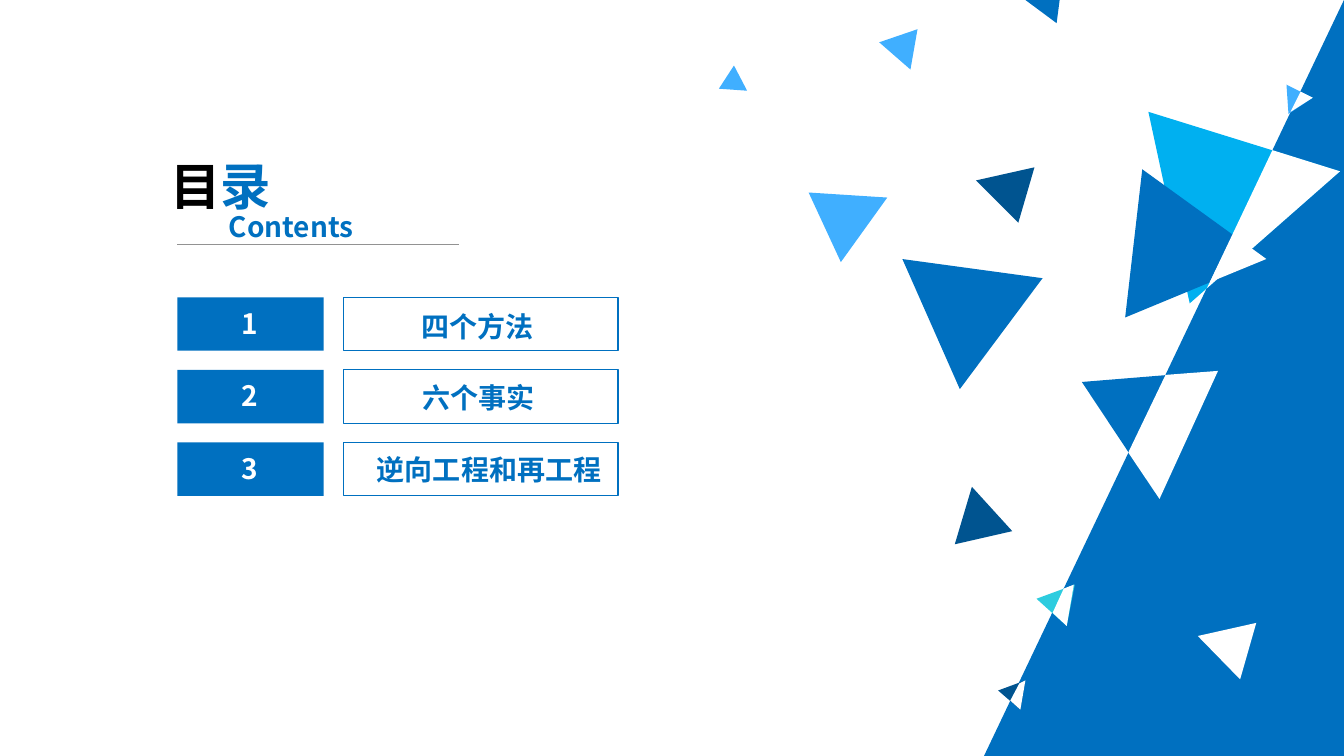
from lxml import etree
from pptx import Presentation
from pptx.dml.color import RGBColor
from pptx.enum import shapes, text
from pptx.oxml.ns import qn
from pptx.util import Inches, Pt

FONT = "Noto Sans CJK SC"
BLUE, NAVY, SKY, CYAN, TEAL = "0070C0", "005490", "40AFFF", "00B0F0", "2DCCDF"
WHITE, BLACK, GREY = "FFFFFF", "000000", "929292"

SCATTERED = [
    (NAVY, [(10.26, 1.66), (10.1, 2.21), (9.68, 1.79)]),
    (CYAN, [(11.8, 3.01), (11.39, 1.11), (13.29, 1.7)]),
    (BLUE, [(11.16, 3.15), (11.33, 1.68), (12.56, 2.57)]),
    (TEAL, [(10.28, 5.94), (10.66, 5.8), (10.58, 6.21)]),
    (NAVY, [(9.9, 6.85), (10.17, 6.75), (10.12, 7.04)]),
    (BLUE, [(10.73, 3.79), (12.08, 3.68), (11.5, 4.95)]),
    (BLUE, [(10.34, 2.76), (9.52, 3.86), (8.95, 2.57)]),
    (SKY, [(12.78, 1.13), (12.76, 0.84), (13.02, 0.97)]),
    (SKY, [(8.72, 0.42), (9.1, 0.29), (9.03, 0.69)]),
    (BLUE, [(10.48, 0.23), (10.17, 0), (10.51, 0)]),
    (SKY, [(8.34, 2.6), (8.02, 1.91), (8.8, 1.96)]),
    (NAVY, [(10.04, 5.27), (9.47, 5.4), (9.64, 4.83)]),
    (WHITE, [(12.46, 6.18), (12.3, 6.74), (11.88, 6.31)]),
    (SKY, [(7.13, 0.88), (7.28, 0.65), (7.41, 0.9)]),
]
# White parts where a triangle crosses onto the blue slope
OVERLAPS = [
    [(12.62, 1.49), (13.29, 1.7), (11.97, 2.86)],
    [(12.23, 2.33), (12.56, 2.57), (12, 2.8)],
    [(10.65, 5.8), (10.58, 6.21), (10.44, 6.08), (10.55, 5.84)],
    [(10.17, 6.75), (10.12, 7.04), (10.02, 6.95), (10.11, 6.78)],
    [(12.08, 3.68), (11.5, 4.95), (11.19, 4.49), (11.56, 3.72)],
    [(12.9, 0.91), (13.02, 0.97), (12.8, 1.11)],
]
# Section name and the offset of its text inside the frame
SECTIONS = [
    ("四个方法", 0.67, 0.07),
    ("六个事实", 0.68, 0.06),
    ("逆向工程和再工程", 0.23, 0.05),
]


def rgb(color):
    return RGBColor.from_string(color)


def paint(sp, fill=None, line=None):
    sp.shadow.inherit = False
    if fill:
        sp.fill.solid()
        sp.fill.fore_color.rgb = rgb(fill)
    else:
        sp.fill.background()
    if line:
        sp.line.color.rgb = rgb(line)
        sp.line.width = Pt(0.75)
    else:
        sp.line.fill.background()


def add_box(parent, kind, x, y, w, h, **colors):
    sp = parent.add_shape(kind, Inches(x), Inches(y), Inches(w), Inches(h))
    paint(sp, **colors)
    return sp


def add_text(parent, runs, x, y, w, h, size=20, align=None):
    """Add one bold line made of (text, colour) runs."""
    tf = parent.add_textbox(Inches(x), Inches(y), Inches(w), Inches(h)).text_frame
    tf.word_wrap = True
    tf.auto_size = text.MSO_AUTO_SIZE.SHAPE_TO_FIT_TEXT
    p = tf.paragraphs[0]
    p.alignment = align
    for words, color in runs:
        r = p.add_run()
        r.text = words
        r.font.size = Pt(size)
        r.font.bold = True
        r.font.name = FONT
        r.font.color.rgb = rgb(color)
        etree.SubElement(r.font._element, qn("a:ea"), typeface=FONT)


def add_polygon(parent, points, color):
    corners = [(Inches(x), Inches(y)) for x, y in points]
    builder = parent.build_freeform(*corners[0])
    builder.add_line_segments(corners[1:], close=True)
    paint(builder.convert_to_shape(), fill=color)


def add_slope(s, x, y, w, h):
    sp = add_box(s.shapes, shapes.MSO_SHAPE.ISOSCELES_TRIANGLE, x, y, w, h, fill=BLUE)
    sp.adjustments[0] = 1


def add_triangles(s):
    for color, points in SCATTERED:
        add_polygon(s.shapes, points, color)
    group = s.shapes.add_group_shape().shapes
    for points in OVERLAPS:
        add_polygon(group, points, WHITE)


def add_heading(s, x, y, w):
    group = s.shapes.add_group_shape().shapes
    add_text(group, [("目", BLACK), ("录", BLUE)], x - 0.17, y, 1.57, 0.71, size=36)
    rule_y = Inches(y + 0.93)
    rule = group.add_connector(shapes.MSO_CONNECTOR.STRAIGHT,
                               Inches(x), rule_y, Inches(x + w), rule_y)
    rule.line.color.rgb = rgb(GREY)
    rule.line.width = Pt(0.5)
    etree.SubElement(rule._element.spPr, qn("a:effectLst"))
    add_text(group, [("Contents", BLUE)], x + 0.41, y + 0.54, 1.57, 0.44)


def add_sections(s, x, y, pitch=0.72, h=0.53):
    rect = shapes.MSO_SHAPE.RECTANGLE
    frame_x = x + 1.65
    for i, (name, dx, dy) in enumerate(SECTIONS):
        top = y + i * pitch
        add_box(s.shapes, rect, frame_x, top, 2.72, h, line=BLUE)
        add_text(s.shapes, [(name, BLUE)], frame_x + dx, top + dy, 3.03, 0.44)
        add_box(s.shapes, rect, x, top, 1.45, h, fill=BLUE)
        add_text(s.shapes, [(str(i + 1), WHITE)], x + 0.19, top + 0.04, 1.05, 0.44,
                 align=text.PP_ALIGN.CENTER)


def main():
    prs = Presentation()
    prs.slide_width, prs.slide_height = Inches(13.33), Inches(7.5)
    s = prs.slides.add_slide(prs.slide_layouts[6])
    add_slope(s, 9.76, 0, 3.57, 7.5)
    add_sections(s, 1.76, 2.95)
    add_heading(s, 1.76, 1.49, 2.79)
    add_triangles(s)
    prs.save("out.pptx")


if __name__ == "__main__":
    main()
